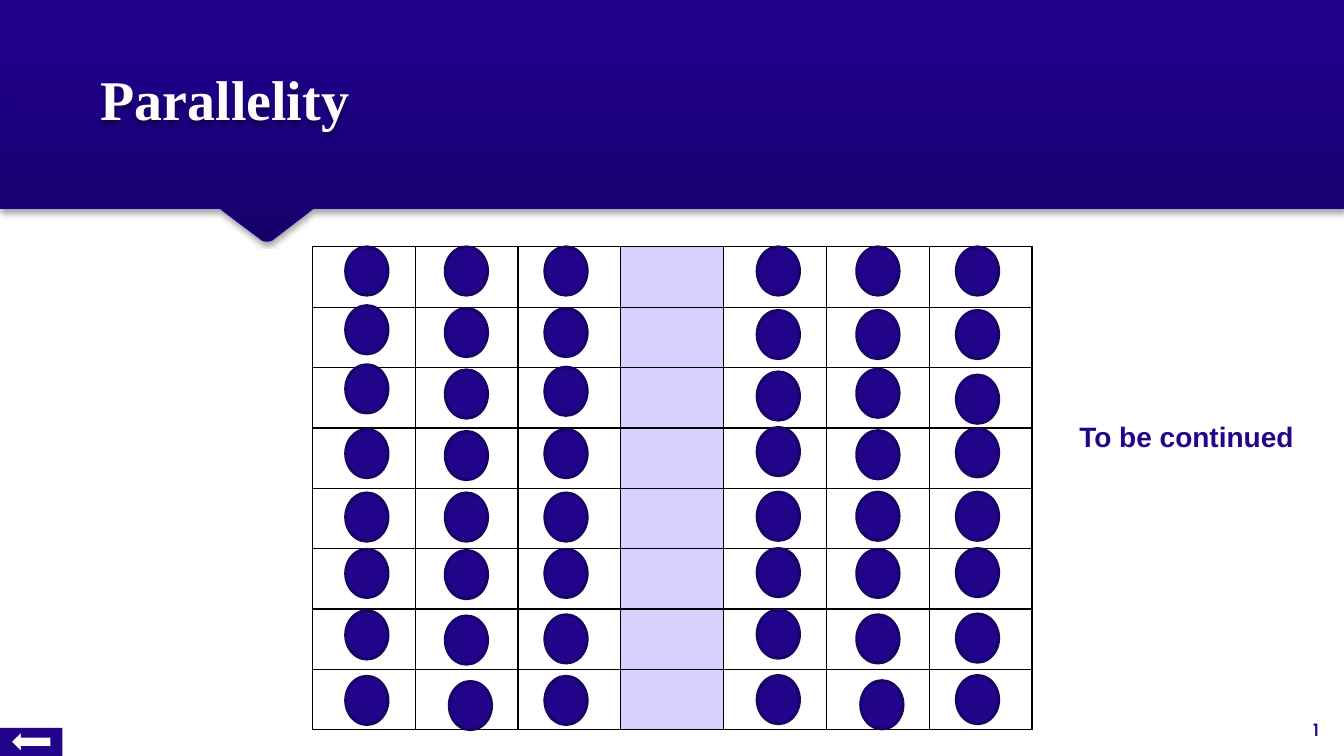
from lxml import etree
from pptx import Presentation
from pptx.dml.color import RGBColor
from pptx.enum.shapes import MSO_SHAPE
from pptx.enum.text import MSO_ANCHOR, MSO_AUTO_SIZE
from pptx.oxml.ns import qn
from pptx.util import Cm, Pt

BLACK = RGBColor(0x00, 0x00, 0x00)
WHITE = RGBColor(0xFF, 0xFF, 0xFF)
OFF_WHITE = RGBColor(0xFE, 0xFE, 0xFE)
INDIGO = RGBColor(0x21, 0x04, 0x8A)
DOT_EDGE = RGBColor(0x18, 0x03, 0x66)
BANNER_DARK = RGBColor(0x17, 0x00, 0x6A)
BANNER_LIGHT = RGBColor(0x1E, 0x00, 0x8A)
BANNER_EDGE = RGBColor(0x1E, 0x01, 0x8A)
LILAC = RGBColor(0xD6, 0xD1, 0xFF)

UNITS_PER_CM = 100
BANNER = [(33.87, 0), (0, 0), (0, 5.25), (5.54, 5.25), (6.6, 6.05), (6.65, 6.07),
          (6.73, 6.08), (6.81, 6.07), (6.86, 6.05), (7.9, 5.25), (33.87, 5.25)]
BACK_ARROW = [(0.53, 18.47), (0.3, 18.69), (0.53, 18.92), (0.53, 18.8),
              (1.27, 18.8), (1.27, 18.59), (0.53, 18.59)]
BACK_BOX = [(0, 18.34), (1.57, 18.34), (1.57, 19.05), (0, 19.05)]

ROWS, COLS, MIDDLE_COL = 8, 7, 3
DOT_LEFTS = [8.71 + 2.51 * i for i in range(3)] + [19.08 + 2.51 * i for i in range(3)]
DOT_TOPS = [
    [6.22] * 6,
    [7.7, 7.77, 7.77, 7.82, 7.82, 7.82],
    [9.19, 9.32, 9.25, 9.37, 9.3, 9.45],
    [10.82, 10.87, 10.82, 10.77, 10.85, 10.8],
    [12.42, 12.42, 12.42, 12.4, 12.4, 12.4],
    [13.84, 13.87, 13.84, 13.82, 13.84, 13.82],
    [15.39, 15.52, 15.49, 15.37, 15.49, 15.47],
    [17.04, 17.17, 17.04, 17.02, 17.15, 17.02],
]
LAST_ROW_SHIFT = {1: 0.1, 4: 0.1}


def add_shadow(sp):
    sp.shadow.inherit = False
    effects = sp._element.spPr.find(qn("a:effectLst"))
    shadow = etree.SubElement(effects, qn("a:outerShdw"), blurRad=str(Pt(3.1)),
                              dist=str(Pt(1.8)), dir="5400000", rotWithShape="0")
    color = etree.SubElement(shadow, qn("a:srgbClr"), val=str(BLACK))
    etree.SubElement(color, qn("a:alpha"), val="35000")


def add_outline(slide, *contours):
    first, *others = [[(round(x * UNITS_PER_CM), round(y * UNITS_PER_CM))
                       for x, y in contour] for contour in contours]
    builder = slide.shapes.build_freeform(*first[0], scale=Cm(1) / UNITS_PER_CM)
    builder.add_line_segments(first[1:])
    for points in others:
        builder.move_to(*points[0])
        builder.add_line_segments(points[1:])
    sp = builder.convert_to_shape()
    sp.shadow.inherit = False
    return sp


def add_banner(slide):
    sp = add_outline(slide, BANNER)
    sp.fill.gradient()
    sp.fill.gradient_angle = 90
    dark, light = sp.fill.gradient_stops
    dark.color.rgb, dark.position = BANNER_DARK, 0
    light.color.rgb, light.position = BANNER_LIGHT, 0.8
    sp.line.color.rgb = BANNER_EDGE
    sp.line.width = Pt(0.75)
    add_shadow(sp)


def add_back_button(slide):
    sp = add_outline(slide, BACK_ARROW, BACK_BOX)
    sp.fill.solid()
    sp.fill.fore_color.rgb = INDIGO
    sp.line.fill.background()


def add_text(slide, text, left, top, width, height, font, size, color):
    sp = slide.shapes.add_textbox(Cm(left), Cm(top), Cm(width), Cm(height))
    tf = sp.text_frame
    tf.word_wrap = False
    tf.auto_size = MSO_AUTO_SIZE.SHAPE_TO_FIT_TEXT
    p = tf.paragraphs[0]
    p.text = text
    p.font.name, p.font.size, p.font.bold = font, Pt(size), True
    p.font.color.rgb = color
    return sp


def add_title(slide, text):
    sp = add_text(slide, text, 2.29, 1.14, 29.36, 2.69, "Times New Roman", 40, OFF_WHITE)
    tf = sp.text_frame
    tf.word_wrap = True
    tf.auto_size = MSO_AUTO_SIZE.NONE
    tf.vertical_anchor = MSO_ANCHOR.MIDDLE
    add_shadow(sp)


def set_borders(cell):
    tc_pr = cell._tc.get_or_add_tcPr()
    for i, side in enumerate(("lnL", "lnR", "lnT", "lnB")):
        ln = etree.Element(qn("a:" + side), w=str(Pt(1)))
        fill = etree.SubElement(ln, qn("a:solidFill"))
        etree.SubElement(fill, qn("a:srgbClr"), val=str(BLACK))
        tc_pr.insert(i, ln)


def add_grid(slide):
    table = slide.shapes.add_table(ROWS, COLS, Cm(7.87), Cm(6.22),
                                   Cm(18.14), Cm(12.17)).table
    for row in table.rows:
        for c, cell in enumerate(row.cells):
            cell.fill.solid()
            cell.fill.fore_color.rgb = LILAC if c == MIDDLE_COL else WHITE
            set_borders(cell)


def add_dot(slide, left, top):
    sp = slide.shapes.add_shape(MSO_SHAPE.FLOWCHART_CONNECTOR,
                                Cm(left), Cm(top), Cm(1.07), Cm(1.22))
    sp.shadow.inherit = False
    sp.fill.solid()
    sp.fill.fore_color.rgb = INDIGO
    sp.line.color.rgb = DOT_EDGE
    sp.line.width = Pt(2)


def add_dots(slide):
    for r, tops in enumerate(DOT_TOPS):
        for c, (left, top) in enumerate(zip(DOT_LEFTS, tops)):
            shift = LAST_ROW_SHIFT.get(c, 0) if r == ROWS - 1 else 0
            add_dot(slide, left + shift, top)


def main():
    prs = Presentation()
    prs.slide_width, prs.slide_height = Cm(33.87), Cm(19.05)
    slide = prs.slides.add_slide(prs.slide_layouts[6])
    add_banner(slide)
    add_title(slide, "Parallelity")
    add_grid(slide)
    add_back_button(slide)
    add_text(slide, "1", 32.79, 18.01, 0.74, 0.76, "TeX Gyre Adventor", 12, INDIGO)
    add_dots(slide)
    add_text(slide, "To be continued", 26.95, 10.44, 6.27, 1.12, "Arial", 20, INDIGO)
    prs.save("out.pptx")


main()
